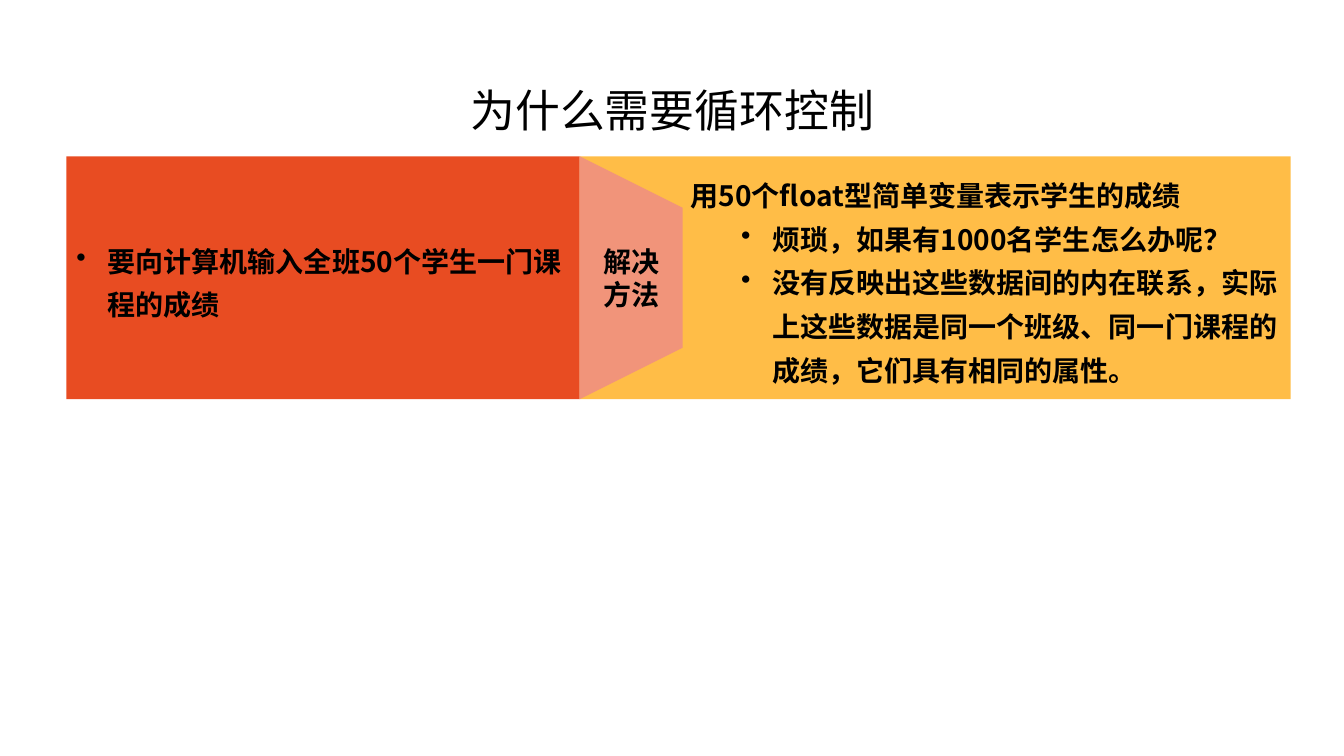
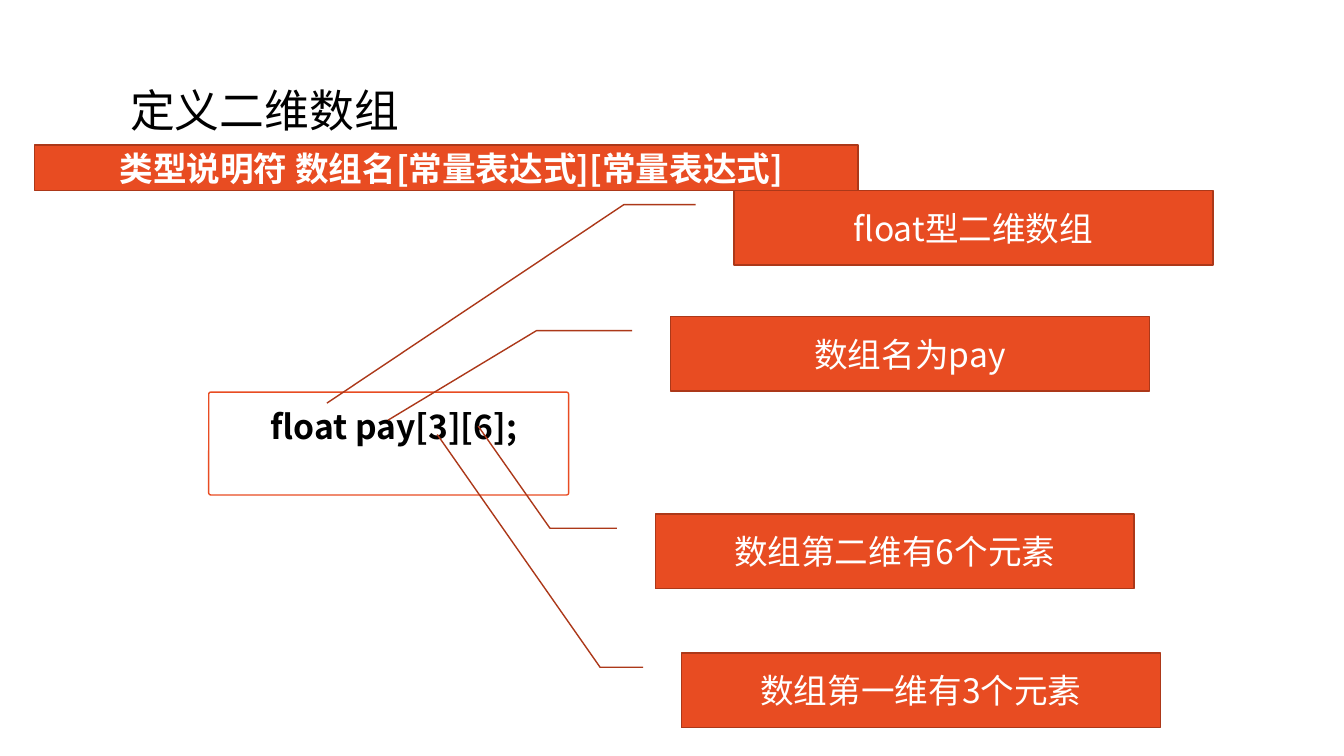
from lxml.etree import SubElement
from pptx import Presentation
from pptx.dml.color import RGBColor
from pptx.enum.shapes import MSO_SHAPE
from pptx.enum.text import MSO_ANCHOR, MSO_AUTO_SIZE, PP_ALIGN
from pptx.oxml.ns import qn
from pptx.util import Inches, Pt

FONT = "Noto Sans CJK SC"
BLACK = RGBColor(0x00, 0x00, 0x00)
WHITE = RGBColor(0xFF, 0xFF, 0xFF)
RED = RGBColor(0xE8, 0x4C, 0x22)
RUST = RGBColor(0xAC, 0x38, 0x19)
PINK = RGBColor(0xF1, 0x94, 0x7A)
GOLD = RGBColor(0xFF, 0xBD, 0x47)

WIDE, HIGH = Inches(13.33), Inches(7.5)
HEAD = {"size": Pt(32), "bold": False}
BODY = {"size": Pt(20), "bold": True}
CODE = {"size": Pt(24), "bold": True}
NOTE = {"size": Pt(24), "bold": False}


def across(share):
    """Turn a percentage of the slide width into a length."""
    return round(WIDE * share / 100)


def down(share):
    """Turn a percentage of the slide height into a length."""
    return round(HIGH * share / 100)


def area(left, top, width, height):
    return across(left), down(top), across(width), down(height)


def bullet(para, left, hang):
    props = para._p.get_or_add_pPr()
    props.set("marL", str(Inches(left)))
    props.set("indent", str(-Inches(hang)))
    SubElement(props, qn("a:buChar")).set("char", "•")


def write(shape, lines, style, color, align=PP_ALIGN.CENTER, space=1.0,
          anchor=MSO_ANCHOR.MIDDLE, inset=(0.1, 0.05), marks=()):
    """Fill a shape with lines; marks maps a line number to level and indent."""
    frame = shape.text_frame
    left, edge = inset
    layout = {"word_wrap": True, "auto_size": MSO_AUTO_SIZE.NONE,
              "vertical_anchor": anchor, "margin_left": Inches(left),
              "margin_right": Inches(0.1), "margin_top": Inches(edge),
              "margin_bottom": Inches(edge)}
    for name, value in layout.items():
        setattr(frame, name, value)
    for index, line in enumerate(lines):
        para = frame.add_paragraph() if index else frame.paragraphs[0]
        para.alignment, para.line_spacing = align, space
        if index in marks:
            level, indent = marks[index]
            para.level = level
            bullet(para, indent, 0.31)
        run = para.add_run()
        run.text = line
        for name, value in {**style, "name": FONT}.items():
            setattr(run.font, name, value)
        run.font.color.rgb = color
        SubElement(run.font._element, qn("a:ea")).set("typeface", FONT)


def paint(shape, fill, line=None):
    shape.shadow.inherit = False
    shape.fill.solid()
    shape.fill.fore_color.rgb = fill
    if line is None:
        shape.line.fill.background()
    else:
        shape.line.color.rgb = line
        shape.line.width = Pt(1)
    return shape


def block(slide, place, fill, line=None, kind=MSO_SHAPE.RECTANGLE, bends=()):
    shape = slide.shapes.add_shape(kind, *area(*place))
    for index, bend in enumerate(bends):
        shape.adjustments[index] = bend
    return paint(shape, fill, line)


def wedge(slide, left, top, width, height, slope, fill):
    """Draw a panel whose right edge is shorter by slope at each end."""
    right, base = left + width, top + height
    points = [(right, top + slope), (right, base - slope), (left, base)]
    pen = slide.shapes.build_freeform(across(left), down(top))
    pen.add_line_segments([(across(x), down(y)) for x, y in points])
    return paint(pen.convert_to_shape(), fill)


def callout(slide, left, top, elbow, tip, text):
    """Label with a bent leader; elbow and tip are shares of the label."""
    bends = (0.19, -0.08, 0.19, elbow, *tip)
    shape = block(slide, (left, top, 35.63, 9.87), RED, RUST,
                  MSO_SHAPE.LINE_CALLOUT_2, bends)
    write(shape, [text], NOTE, WHITE)


def start(deck, text, left, width, align):
    slide = deck.slides.add_slide(deck.slide_layouts[5])
    title = slide.shapes.title
    title.left, title.top, title.width, title.height = area(
        left, 5.33, width, 19.33)
    write(title, [text], HEAD, BLACK, align, 0.9)
    return slide


def reasons(deck):
    slide = start(deck, "为什么需要循环控制", 6.9, 86.27, PP_ALIGN.CENTER)
    left, split, right = 4.95, 43.14, 96.03
    top, height = 20.67, 32.13
    flow = {"align": PP_ALIGN.LEFT, "space": 1.3}

    answer = block(slide, (split, top, right - split, height), GOLD)
    write(answer, [
        "用50个float型简单变量表示学生的成绩",
        "烦琐，如果有1000名学生怎么办呢？",
        "没有反映出这些数据间的内在联系，实际上这些数据是同一个班级、"
        "同一门课程的成绩，它们具有相同的属性。",
    ], BODY, BLACK, inset=(1.1, 0.04),
        marks=dict.fromkeys((1, 2), (1, 0.81)), **flow)

    task = block(slide, (left, top, split - left, height), RED)
    write(task, ["要向计算机输入全班50个学生一门课程的成绩"], BODY, BLACK,
          inset=(0.1, 0.04), marks={0: (0, 0.31)}, **flow)

    bridge = wedge(slide, split, top, 7.65, height, 6.8, PINK)
    write(bridge, ["解决", "方法"], BODY, BLACK)


def arrays(deck):
    slide = start(deck, "定义二维数组", 8.93, 48.61, PP_ALIGN.LEFT)
    syntax = block(slide, (2.55, 19.2, 61.29, 6), RED, RUST)
    write(syntax, ["类型说明符 数组名[常量表达式][常量表达式]"], CODE, WHITE,
          inset=(0.2, 0.05))

    sample = block(slide, (15.53, 51.87, 26.78, 13.6), WHITE, RED,
                   MSO_SHAPE.ROUNDED_RECTANGLE, (0.02,))
    write(sample, ["float pay[3][6];"], CODE, BLACK, space=1.2,
          anchor=MSO_ANCHOR.TOP, inset=(0.2, 0.05))

    for label in (
        (54.61, 25.2, -0.23, (2.85, -0.85), "float型二维数组"),
        (49.89, 41.87, -0.28, (1.39, -0.59), "数组名为pay"),
        (48.76, 68, -0.22, (-1.18, -0.37), "数组第二维有6个元素"),
        (50.71, 86.4, -0.17, (-2.93, -0.51), "数组第一维有3个元素"),
    ):
        callout(slide, *label)


def main():
    deck = Presentation()
    deck.slide_width, deck.slide_height = WIDE, HIGH
    reasons(deck)
    arrays(deck)
    deck.save("out.pptx")


if __name__ == "__main__":
    main()
